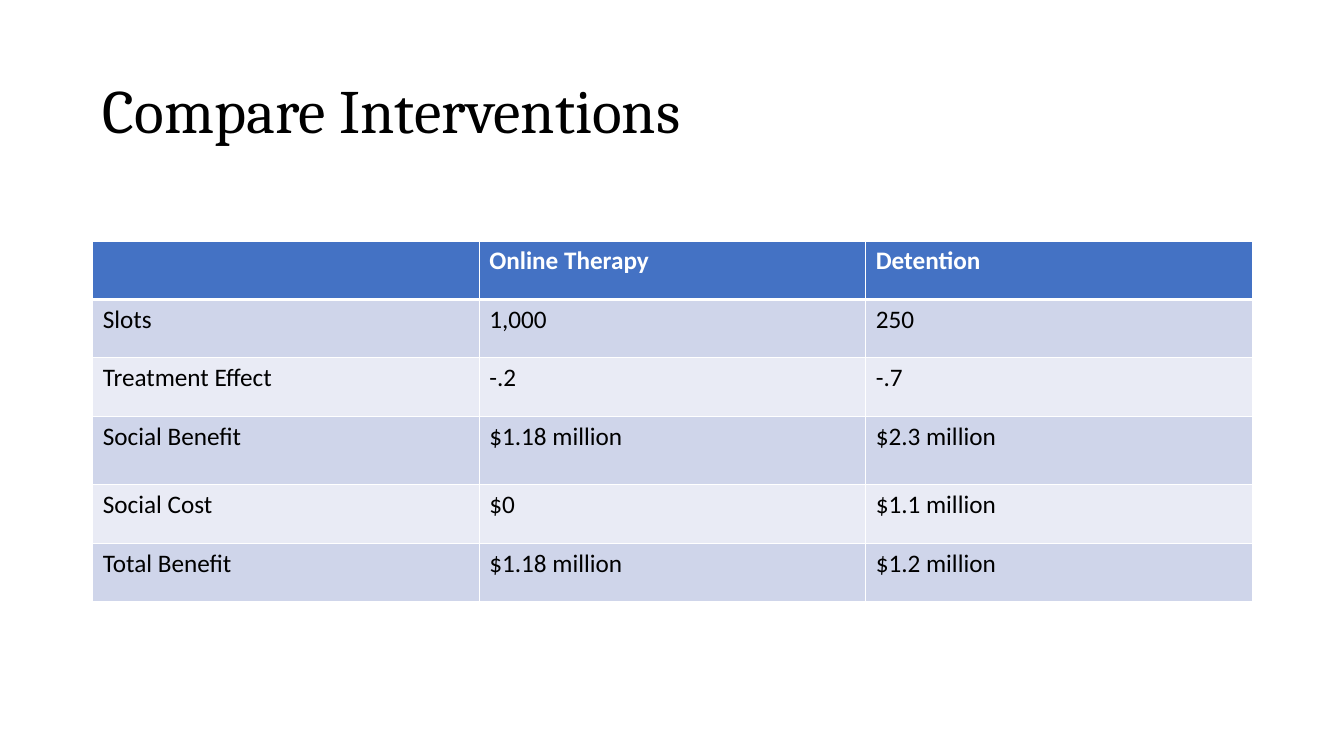
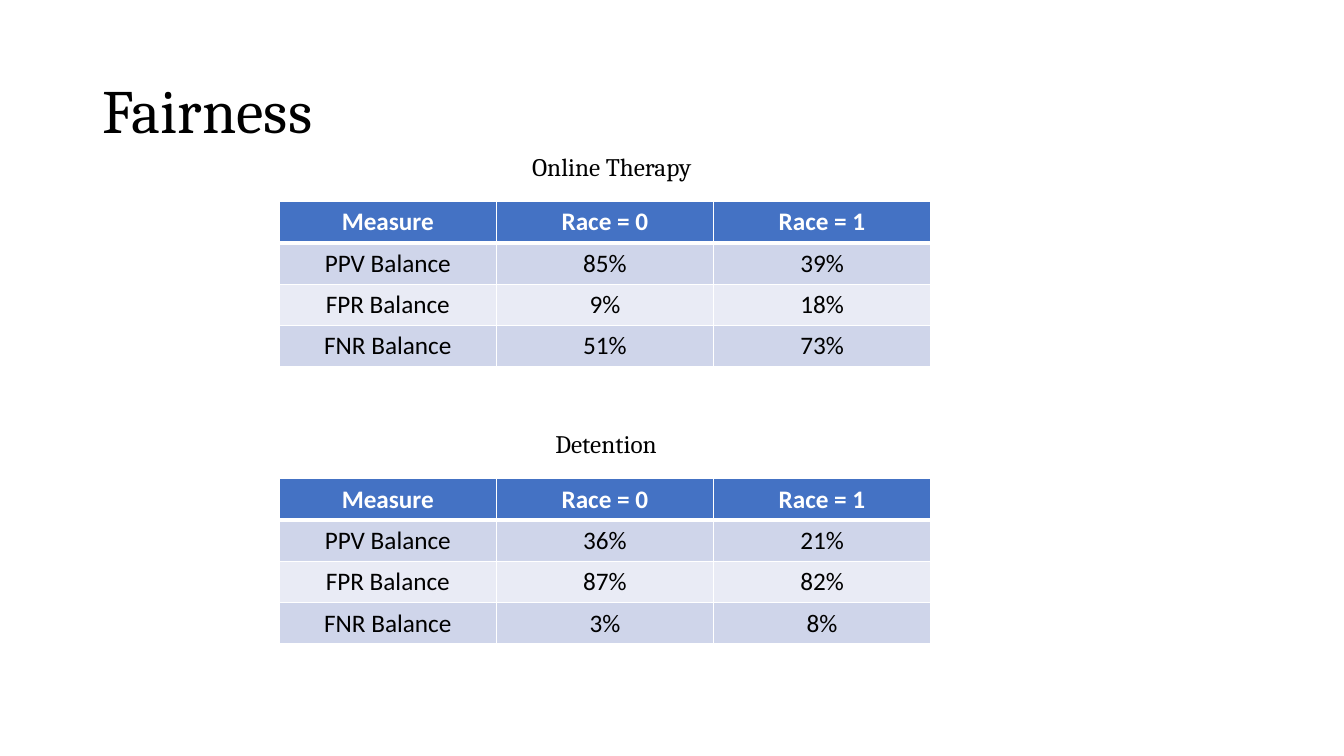
from dataclasses import dataclass

from lxml import etree
from pptx import Presentation
from pptx.dml.color import RGBColor
from pptx.enum.text import MSO_ANCHOR, PP_ALIGN
from pptx.oxml.ns import qn
from pptx.util import Inches, Pt

TOP, MIDDLE = MSO_ANCHOR.TOP, MSO_ANCHOR.MIDDLE
LEFT, CENTER = PP_ALIGN.LEFT, PP_ALIGN.CENTER


@dataclass(frozen=True)
class Theme:
    """Hold the colours, fonts and type sizes of the presentation."""

    ink: str = "000000"
    paper: str = "FFFFFF"
    header: str = "4472C4"
    bands: tuple = ("CFD5EA", "E9EBF5")
    heading_font: str = "Cambria"
    body_font: str = "Calibri"
    title_size: int = 44
    body_size: int = 18
    thin_rule: int = 1
    thick_rule: int = 3


THEME = Theme()
HEADING = {"name": THEME.heading_font, "bold": False}
TITLE_FORMAT = {**HEADING, "size": Pt(THEME.title_size)}
CAPTION_FORMAT = {**HEADING, "size": Pt(THEME.body_size)}
CELL_FORMAT = {"name": THEME.body_font, "size": Pt(THEME.body_size), "bold": False}
HEADER_FORMAT = {**CELL_FORMAT, "bold": True}

INTERVENTIONS = [
    ["", "Online Therapy", "Detention"],
    ["Slots", "1,000", "250"],
    ["Treatment Effect", "-.2", "-.7"],
    ["Social Benefit", "$1.18 million", "$2.3 million"],
    ["Social Cost", "$0", "$1.1 million"],
    ["Total Benefit", "$1.18 million", "$1.2 million"],
]
INTERVENTION_ROWS = [0.58, 0.58, 0.58, 0.68, 0.58, 0.58]
FAIRNESS_HEADER = ["Measure", "Race = 0", "Race = 1"]
FAIRNESS_PANELS = [
    ("Online Therapy", 5.18, 1.45, [
        ["PPV Balance", "85%", "39%"],
        ["FPR Balance", "9%", "18%"],
        ["FNR Balance", "51%", "73%"],
    ]),
    ("Detention", 5.41, 4.2, [
        ["PPV Balance", "36%", "21%"],
        ["FPR Balance", "87%", "82%"],
        ["FNR Balance", "3%", "8%"],
    ]),
]
CAPTION_TO_TABLE = 0.55


def write_text(paragraph, text, text_format, color=THEME.ink):
    """Add one formatted run to a paragraph."""
    run = paragraph.add_run()
    run.text = text
    for name, value in text_format.items():
        setattr(run.font, name, value)
    run.font.color.rgb = RGBColor.from_string(color)


def add_text(slide, text, box, text_format, anchor=TOP, line_spacing=1.0):
    """Add a wrapping text box with one paragraph."""
    shape = slide.shapes.add_textbox(*map(Inches, box))
    shape.text_frame.word_wrap = True
    shape.text_frame.vertical_anchor = anchor
    paragraph = shape.text_frame.paragraphs[0]
    paragraph.line_spacing = line_spacing
    write_text(paragraph, text, text_format)


def set_borders(cell, top, bottom):
    """Draw white rules of the given widths around a cell."""
    properties = cell._tc.get_or_add_tcPr()
    widths = {"lnL": THEME.thin_rule, "lnR": THEME.thin_rule, "lnT": top, "lnB": bottom}
    for side, width in widths.items():
        line = etree.SubElement(properties, qn(f"a:{side}"), w=str(Pt(width)))
        fill = etree.SubElement(line, qn("a:solidFill"))
        etree.SubElement(fill, qn("a:srgbClr"), val=THEME.paper)


def style_cell(cell, text, row_index, alignment, anchor):
    """Fill, rule and write one cell according to its row."""
    is_header = row_index == 0
    set_borders(
        cell,
        top=THEME.thick_rule if row_index == 1 else THEME.thin_rule,
        bottom=THEME.thick_rule if is_header else THEME.thin_rule,
    )
    fill = THEME.header if is_header else THEME.bands[(row_index - 1) % 2]
    cell.fill.solid()
    cell.fill.fore_color.rgb = RGBColor.from_string(fill)
    cell.vertical_anchor = anchor
    paragraph = cell.text_frame.paragraphs[0]
    paragraph.alignment = alignment
    if text:
        text_format = HEADER_FORMAT if is_header else CELL_FORMAT
        write_text(paragraph, text, text_format, THEME.paper if is_header else THEME.ink)


def add_data_table(slide, rows, position, width, heights, alignment=LEFT, anchor=TOP):
    """Add a banded table with equal columns."""
    size = (width, sum(heights))
    frame = slide.shapes.add_table(len(rows), len(rows[0]), *map(Inches, (*position, *size)))
    table = frame.table
    table.horz_banding = False
    for row_index, (texts, height) in enumerate(zip(rows, heights)):
        table.rows[row_index].height = Inches(height)
        for column_index, text in enumerate(texts):
            style_cell(table.cell(row_index, column_index), text, row_index, alignment, anchor)


def add_titled_slide(presentation, title):
    """Add a blank slide with the shared title."""
    slide = presentation.slides.add_slide(presentation.slide_layouts[6])
    add_text(slide, title, (0.92, 0.4, 11.5, 1.45), TITLE_FORMAT, MIDDLE, 0.9)
    return slide


def add_fairness_panel(slide, caption, left, top, rows):
    """Add a caption and its table of fairness measures."""
    table_rows = [FAIRNESS_HEADER, *rows]
    add_data_table(slide, table_rows, (2.77, top + CAPTION_TO_TABLE), 6.46,
                   [0.41] * len(table_rows), CENTER, MIDDLE)
    add_text(slide, caption, (left, top, 2.44, 0.4), CAPTION_FORMAT)


def main():
    """Build and save the presentation."""
    presentation = Presentation()
    presentation.slide_width = Inches(13.33)
    presentation.slide_height = Inches(7.5)
    comparison = add_titled_slide(presentation, "Compare Interventions")
    add_data_table(comparison, INTERVENTIONS, (0.92, 2.39), 11.5, INTERVENTION_ROWS)
    fairness = add_titled_slide(presentation, "Fairness")
    for panel in FAIRNESS_PANELS:
        add_fairness_panel(fairness, *panel)
    presentation.save("out.pptx")


if __name__ == "__main__":
    main()
